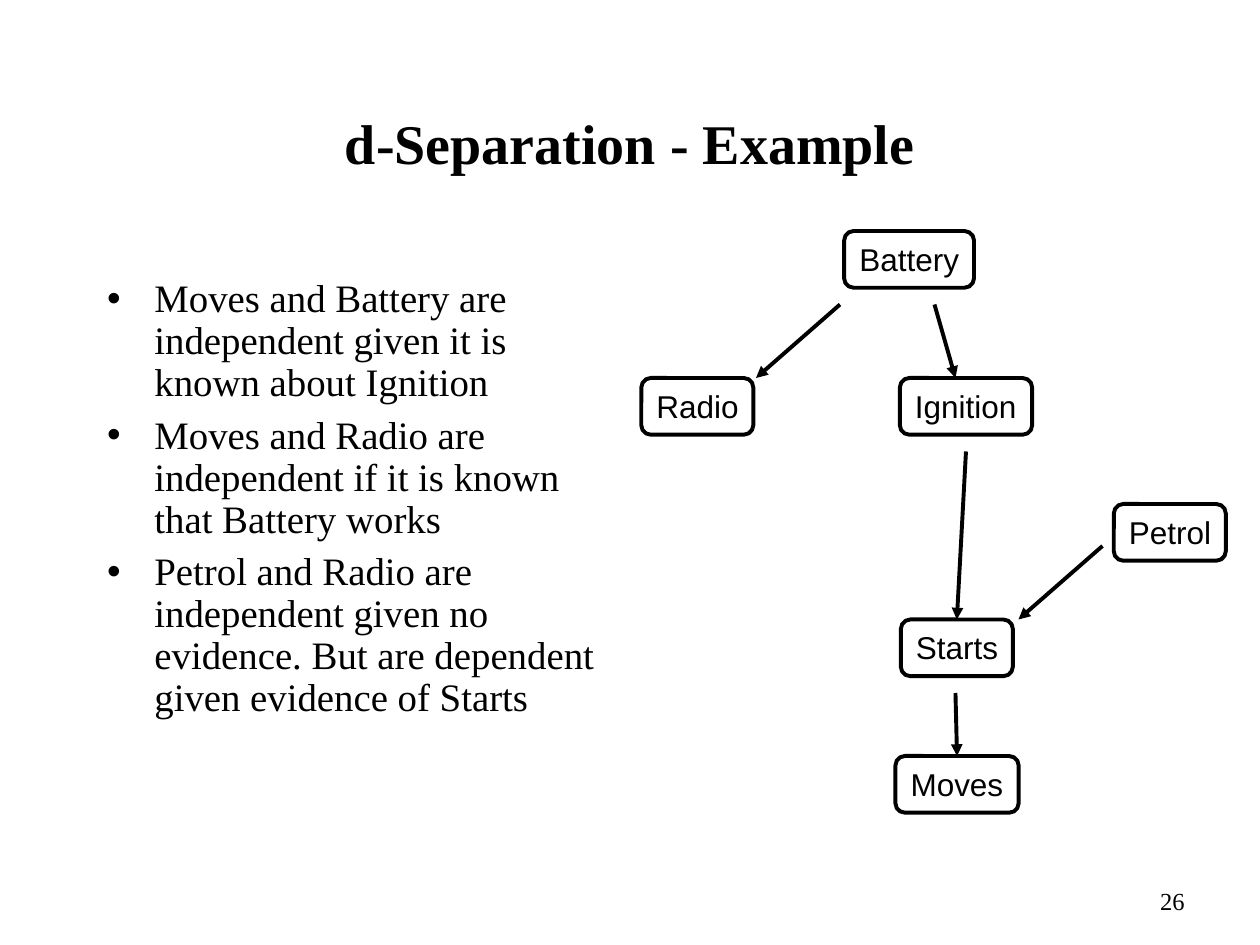
from dataclasses import dataclass

from lxml.etree import SubElement
from pptx import Presentation
from pptx.dml.color import RGBColor
from pptx.enum.shapes import MSO_CONNECTOR as CONNECTOR, MSO_SHAPE as SHAPE
from pptx.enum.text import MSO_ANCHOR as ANCHOR, MSO_AUTO_SIZE as AUTO_SIZE, PP_ALIGN as ALIGN
from pptx.oxml.ns import qn
from pptx.util import Pt


@dataclass(frozen=True)
class Theme:
    ink: RGBColor = RGBColor(0, 0, 0)
    serif: str = "Times New Roman"
    sans: str = "Arial"
    title_size: float = 32
    body_size: float = 22.2
    node_size: float = 18
    number_size: float = 14
    line_width: float = 2.25


theme = Theme()


def style_text(paragraph, size, name, bold=False):
    for run in paragraph.runs:
        run.font.size = Pt(size)
        run.font.name = name
        run.font.bold = bold
        run.font.color.rgb = theme.ink


def place(shape, left, top, width, height):
    shape.left, shape.top = Pt(left), Pt(top)
    shape.width, shape.height = Pt(width), Pt(height)


presentation = Presentation()
presentation.slide_width, presentation.slide_height = Pt(720), Pt(540)
slide = presentation.slides.add_slide(presentation.slide_layouts[1])

# Title
title = slide.shapes.title
place(title, 54, 48, 612, 66)
title.text_frame.text = "d-Separation - Example"
title.text_frame.auto_size = AUTO_SIZE.NONE
title.text_frame.vertical_anchor = ANCHOR.MIDDLE
title.text_frame.paragraphs[0].alignment = ALIGN.CENTER
style_text(title.text_frame.paragraphs[0], theme.title_size, theme.serif, bold=True)

# Independence statements
statements = [
    "Moves and Battery are independent given it is known about Ignition",
    "Moves and Radio are independent if it is known that Battery works",
    "Petrol and Radio are independent given no evidence. "
    "But are dependent given evidence of Starts",
]
body = slide.placeholders[1]
place(body, 54, 156, 300, 324)
body.text_frame.text = "\n".join(statements)
body.text_frame.auto_size = AUTO_SIZE.NONE
for index, paragraph in enumerate(body.text_frame.paragraphs):
    paragraph.line_spacing = 0.9
    paragraph.space_before = Pt(6 if index else 0)
    style_text(paragraph, theme.body_size, theme.serif)

# Network nodes: left, top, width
node_height = 32.4
node_places = {
    "Battery": (482.4, 132, 74.2),
    "Radio": (366.5, 216, 64),
    "Ignition": (514.2, 216, 75.6),
    "Petrol": (636.5, 288, 64),
    "Starts": (514.8, 354, 64),
    "Moves": (511.7, 432, 70.4),
}
nodes = {}
for label, (left, top, width) in node_places.items():
    node = slide.shapes.add_shape(
        SHAPE.ROUNDED_RECTANGLE, Pt(left), Pt(top), Pt(width), Pt(node_height))
    node.shadow.inherit = False
    node.fill.background()
    node.line.color.rgb = theme.ink
    node.line.width = Pt(theme.line_width)
    text_frame = node.text_frame
    text_frame.text = label
    text_frame.word_wrap = False
    text_frame.vertical_anchor = ANCHOR.TOP
    text_frame.paragraphs[0].alignment = ALIGN.LEFT
    style_text(text_frame.paragraphs[0], theme.node_size, theme.sans)
    nodes[label] = node

# Arrows: start, end, node entered at the middle of its top side
arrows = [
    ((480, 174), (432, 216), None),
    ((534, 174), (546, 216), None),
    ((552, 258), (546, 354), "Starts"),
    ((630, 312), (582, 354), None),
    ((546, 396), (546, 432), "Moves"),
]
for start, end, target in arrows:
    arrow = slide.shapes.add_connector(
        CONNECTOR.STRAIGHT, *(Pt(value) for value in start + end))
    if target:
        arrow.end_connect(nodes[target], 0)
    arrow.line.color.rgb = theme.ink
    arrow.line.width = Pt(theme.line_width)
    SubElement(arrow.line._get_or_add_ln(), qn("a:tailEnd"), type="triangle")
    SubElement(arrow._element.spPr, qn("a:effectLst"))

# Slide number
number = slide.shapes.add_textbox(Pt(516), Pt(500.4), Pt(168), Pt(28.8))
number.text_frame.text = "26"
number.text_frame.word_wrap = True
number.text_frame.vertical_anchor = ANCHOR.MIDDLE
number.text_frame.paragraphs[0].alignment = ALIGN.RIGHT
style_text(number.text_frame.paragraphs[0], theme.number_size, theme.serif)

presentation.save("out.pptx")
